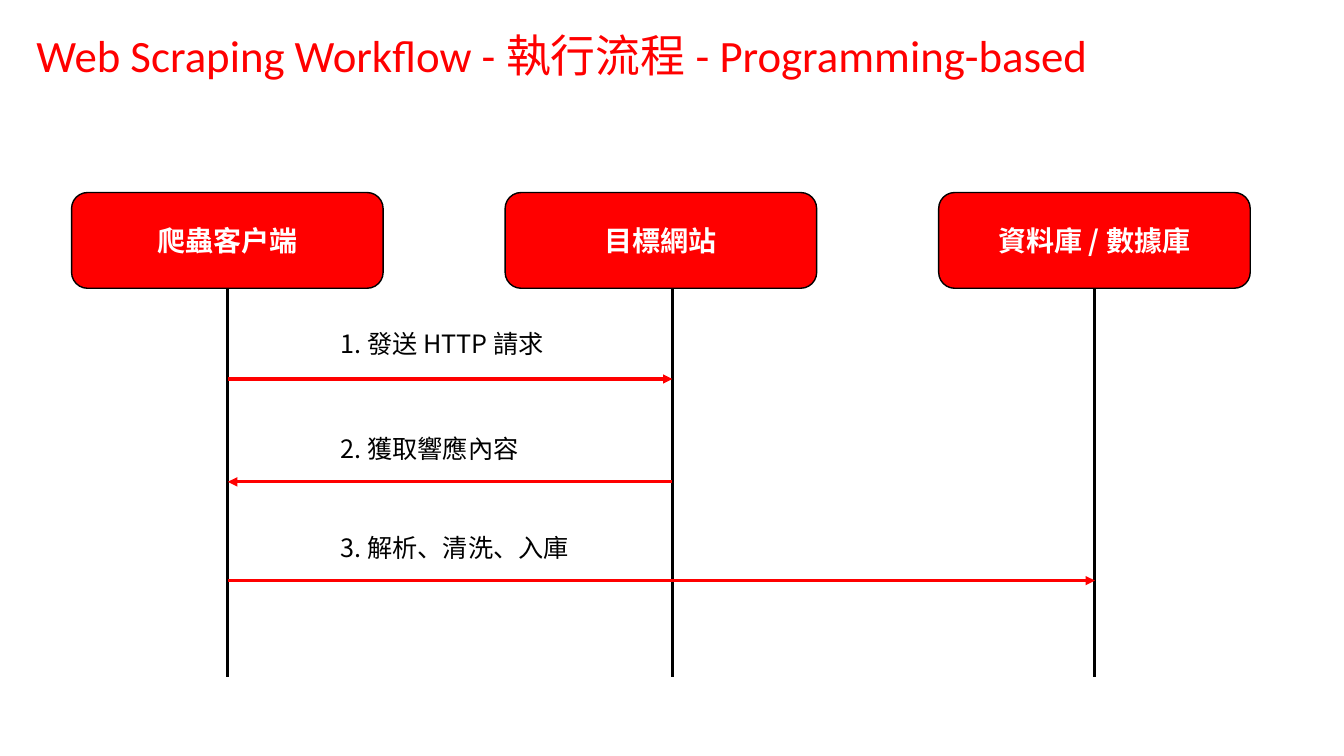
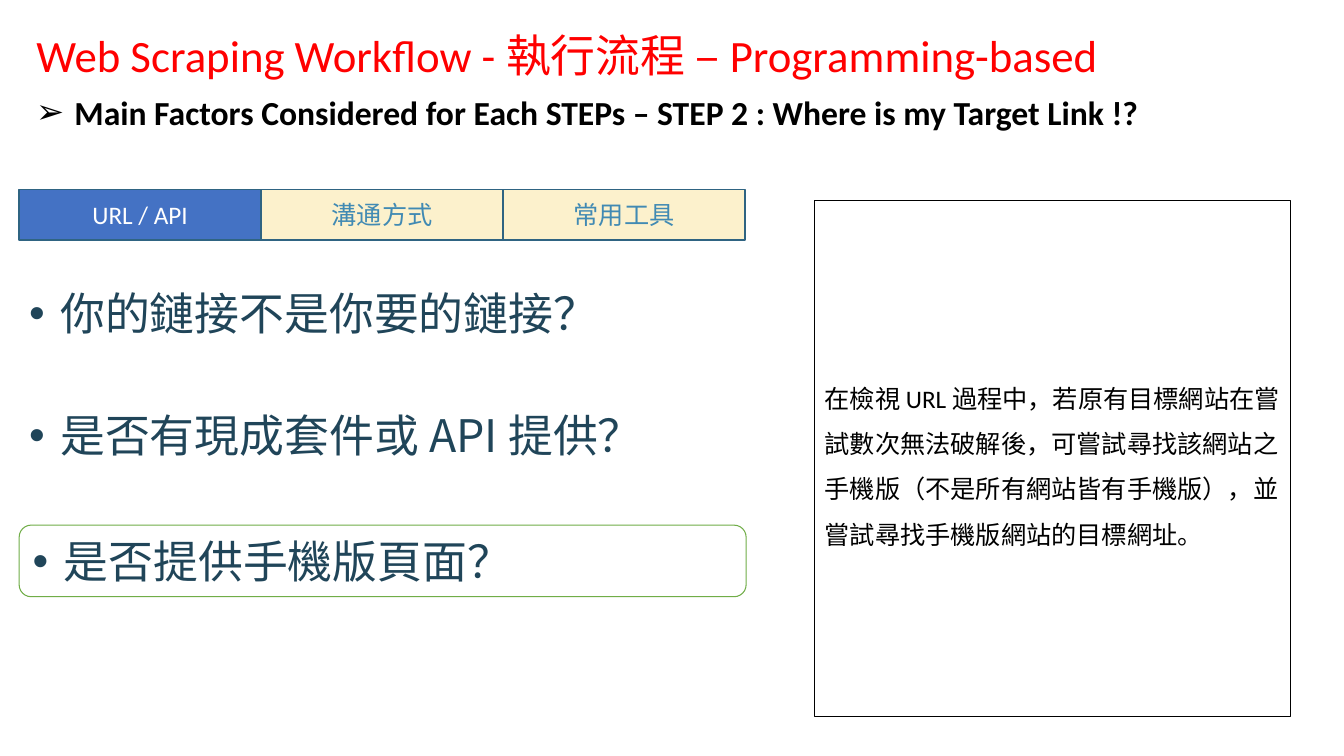
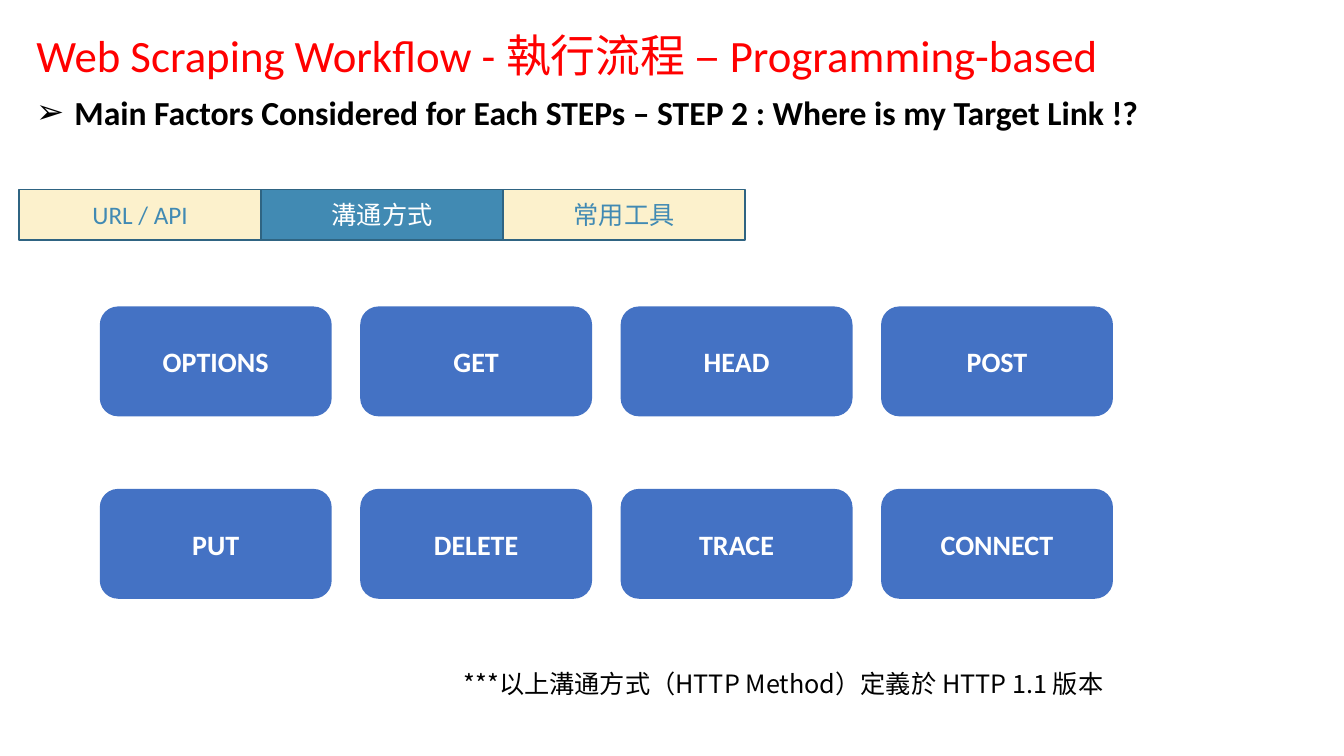
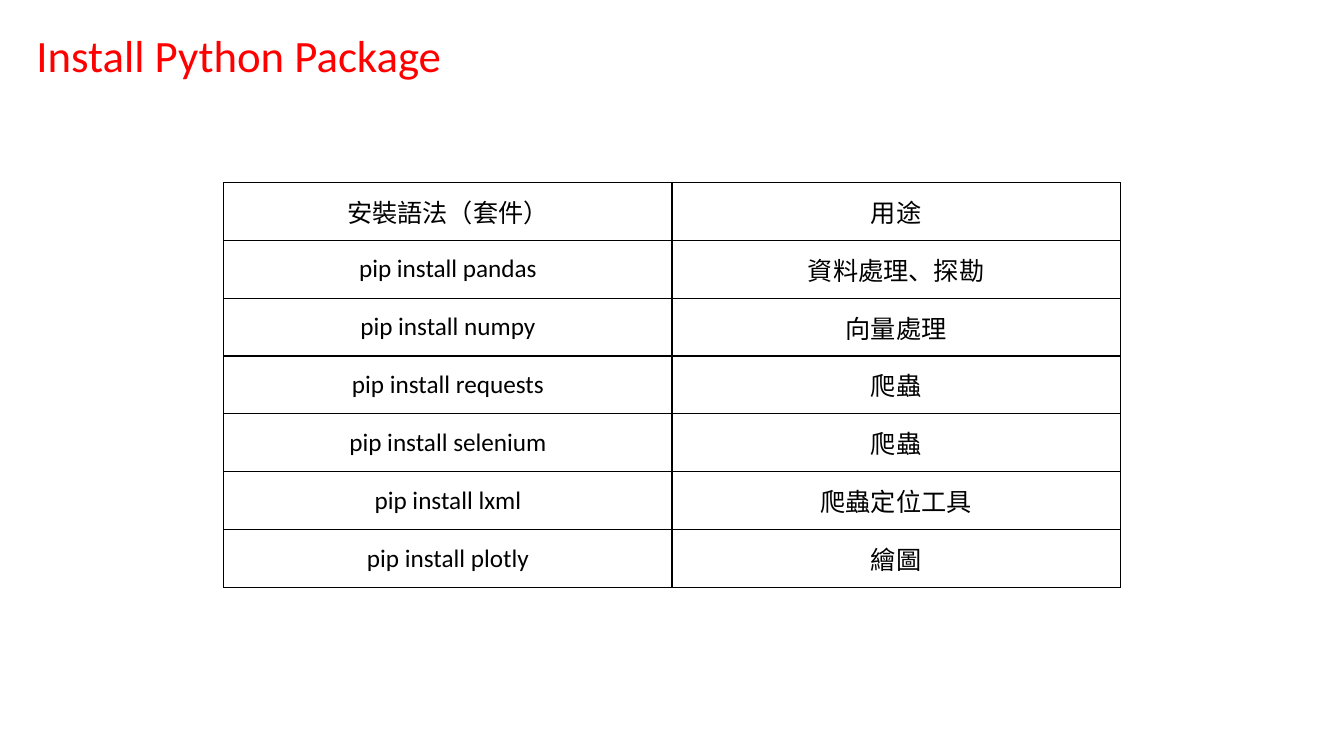
from lxml import etree
from pptx import Presentation
from pptx.dml.color import RGBColor
from pptx.enum.shapes import MSO_CONNECTOR, MSO_SHAPE
from pptx.enum.text import MSO_ANCHOR, PP_ALIGN
from pptx.oxml.ns import qn
from pptx.util import Inches, Pt

RECT = MSO_SHAPE.RECTANGLE
ROUNDED = MSO_SHAPE.ROUNDED_RECTANGLE
STRAIGHT = MSO_CONNECTOR.STRAIGHT
TOP, MIDDLE = MSO_ANCHOR.TOP, MSO_ANCHOR.MIDDLE
LEFT, CENTER, RIGHT = PP_ALIGN.LEFT, PP_ALIGN.CENTER, PP_ALIGN.RIGHT

LATIN = "Calibri"
CJK = "Noto Sans CJK TC"
RED, BLACK, WHITE = "FF0000", "000000", "FFFFFF"
BLUE, TEAL, TEAL_EDGE = "4472C4", "418AB3", "2F6482"
CREAM, NAVY, GREEN = "FCF1CC", "204559", "70AD47"

STEP_TITLE = "Web Scraping Workflow - 執行流程 – Programming-based"
STEP_SUBTITLE = "Main Factors Considered for Each STEPs – STEP 2 : Where is my Target Link !?"
TABS = ["URL / API", "溝通方式", "常用工具"]


def color(value):
    return RGBColor.from_string(value)


def inches(values):
    return [Inches(value) for value in values]


def add_element(parent, tag, **attributes):
    return etree.SubElement(parent, qn(tag), attributes)


def write(frame, text, size, ink=BLACK, font=LATIN, bold=False, align=LEFT, anchor=TOP):
    frame.word_wrap = True
    frame.vertical_anchor = anchor
    para = frame.paragraphs[0]
    para.alignment = align
    span = para.add_run()
    span.text = text
    span.font.size = Pt(size)
    span.font.bold = bold
    span.font.name = font
    span.font.color.rgb = color(ink)
    add_element(span.font._element, "a:ea", typeface=CJK)
    return para


def add_bullet(para, symbol, indent, ink):
    props = para._p.get_or_add_pPr()
    props.set("marL", str(Inches(indent)))
    props.set("indent", str(Inches(-indent)))
    add_element(add_element(props, "a:buClr"), "a:srgbClr", val=ink)
    add_element(props, "a:buFont", typeface="Arial")
    add_element(props, "a:buChar", char=symbol)


def add_page(deck, title):
    page = deck.slides.add_slide(deck.slide_layouts[5])
    box = page.shapes.title
    box.left, box.top, box.width, box.height = inches((0.26, 0.22, 11.43, 0.64))
    write(box.text_frame, title, 32, RED)
    return page


def add_text(page, place, text, size, **style):
    box = page.shapes.add_textbox(*inches(place))
    return write(box.text_frame, text, size, **style)


def add_box(page, kind, place, fill=None, line=None, width=1):
    box = page.shapes.add_shape(kind, *inches(place))
    box.shadow.inherit = False
    if fill:
        box.fill.solid()
        box.fill.fore_color.rgb = color(fill)
    else:
        box.fill.background()
    if line:
        box.line.color.rgb = color(line)
        box.line.width = Pt(width)
    else:
        box.line.fill.background()
    return box


def add_label_box(page, kind, place, text, size, fill, line=None, **style):
    box = add_box(page, kind, place, fill, line)
    write(box.text_frame, text, size, align=CENTER, anchor=MIDDLE, **style)
    return box


def add_line(page, start, end, ink, arrow=False):
    line = page.shapes.add_connector(STRAIGHT, *inches(start + end))
    line.line.color.rgb = color(ink)
    line.line.width = Pt(2.25)
    if arrow:
        add_element(line.line._get_or_add_ln(), "a:tailEnd", type="triangle")
    add_element(line._element.spPr, "a:effectLst")
    return line


def add_step_page(deck, active, active_fill):
    page = add_page(deck, STEP_TITLE)
    para = add_text(page, (0.26, 0.86, 11.43, 0.5), STEP_SUBTITLE, 24, bold=True)
    add_bullet(para, "➢", 0.38, BLACK)
    for index, label in enumerate(TABS):
        fill, ink = (active_fill, WHITE) if index == active else (CREAM, TEAL)
        place = (0.19 + 2.4 * index, 1.88, 2.4, 0.5)
        add_label_box(page, RECT, place, label, 18, fill, TEAL_EDGE, ink=ink)
    return page


def build_sequence(deck):
    page = add_page(deck, "Web Scraping Workflow - 執行流程 - Programming-based")
    lifelines = [2.26, 6.67, 10.86]
    actors = ["爬蟲客戶端", "目標網站", "資料庫 / 數據庫"]
    for index, (actor, x) in enumerate(zip(actors, lifelines)):
        left = 0.71 + 4.3 * index
        box = add_label_box(page, ROUNDED, (left, 1.91, 3.09, 0.95), actor, 20,
                            RED, BLACK, ink=WHITE, font=CJK, bold=True)
        joined = abs(left + 3.09 / 2 - x) < 0.01
        if joined:
            x = left + 3.09 / 2
        line = add_line(page, (x, 2.86), (x, 6.72), BLACK)
        if joined:
            line.begin_connect(box, 2)
    messages = [
        ("1. 發送 HTTP 請求", 0, 1, 3.21, 3.76),
        ("2. 獲取響應內容", 1, 0, 4.25, 4.78),
        ("3. 解析、清洗、入庫", 0, 2, 5.23, 5.76),
    ]
    for text, source, target, text_top, y in messages:
        add_line(page, (lifelines[source], y), (lifelines[target], y), RED, arrow=True)
        add_text(page, (3.28, text_top, 2.79, 0.4), text, 18, font=CJK)


def build_links(deck):
    page = add_step_page(deck, 0, BLUE)
    note = add_box(page, RECT, (8.08, 1.99, 4.72, 5.12), WHITE, BLACK)
    para = write(note.text_frame, "在檢視 URL 過程中，若原有目標網站在嘗試數次無法破解後，"
                 "可嘗試尋找該網站之手機版（不是所有網站皆有手機版），"
                 "並嘗試尋找手機版網站的目標網址。", 18, anchor=MIDDLE)
    para.line_spacing = 1.5
    questions = ["你的鏈接不是你要的鏈接？", "是否有現成套件或 API 提供？"]
    style = {"size": 32, "ink": NAVY, "font": CJK}
    paras = [add_text(page, (0.19, 2.79 + 1.21 * index, 7.21, 0.64), text, **style)
             for index, text in enumerate(questions)]
    focus = add_box(page, ROUNDED, (0.19, 5.21, 7.21, 0.71), line=GREEN, width=0.75)
    paras.append(write(focus.text_frame, "是否提供手機版頁面？", **style))
    for para in paras:
        add_bullet(para, "•", 0.31, NAVY)


def build_methods(deck):
    page = add_step_page(deck, 1, TEAL)
    methods = ["OPTIONS", "GET", "HEAD", "POST", "PUT", "DELETE", "TRACE", "CONNECT"]
    for index, method in enumerate(methods):
        row, column = divmod(index, 4)
        place = (0.99 + 2.583 * column, 3.04 + 1.81 * row, 2.3, 1.09)
        add_label_box(page, ROUNDED, place, method, 20, BLUE, ink=WHITE, bold=True)
    add_text(page, (3.29, 6.58, 7.75, 0.4), "***以上溝通方式（HTTP Method）定義於 HTTP 1.1 版本",
             18, font=CJK, align=RIGHT)


def format_cell(cell, text):
    props = cell._tc.get_or_add_tcPr()
    for side in ("a:lnL", "a:lnR", "a:lnT", "a:lnB"):
        border = add_element(props, side, w=str(Pt(1)))
        add_element(add_element(border, "a:solidFill"), "a:srgbClr", val=BLACK)
    cell.fill.background()
    write(cell.text_frame, text, 18, align=CENTER)
    cell.vertical_anchor = MIDDLE


def build_packages(deck):
    page = add_page(deck, "Install Python Package")
    rows = [
        ("安裝語法（套件）", "用途"),
        ("pip install pandas", "資料處理、探勘"),
        ("pip install numpy", "向量處理"),
        ("pip install requests", "爬蟲"),
        ("pip install selenium", "爬蟲"),
        ("pip install lxml", "爬蟲定位工具"),
        ("pip install plotly", "繪圖"),
    ]
    place = inches((2.22, 1.81, 8.89, 4.02))
    table = page.shapes.add_table(len(rows), 2, *place).table
    table.first_row = False
    table.horz_banding = False
    for row, texts in enumerate(rows):
        for column, text in enumerate(texts):
            format_cell(table.cell(row, column), text)


def main():
    deck = Presentation()
    deck.slide_width, deck.slide_height = inches((13.33, 7.5))
    build_sequence(deck)
    build_links(deck)
    build_methods(deck)
    build_packages(deck)
    deck.save("out.pptx")


if __name__ == "__main__":
    main()
